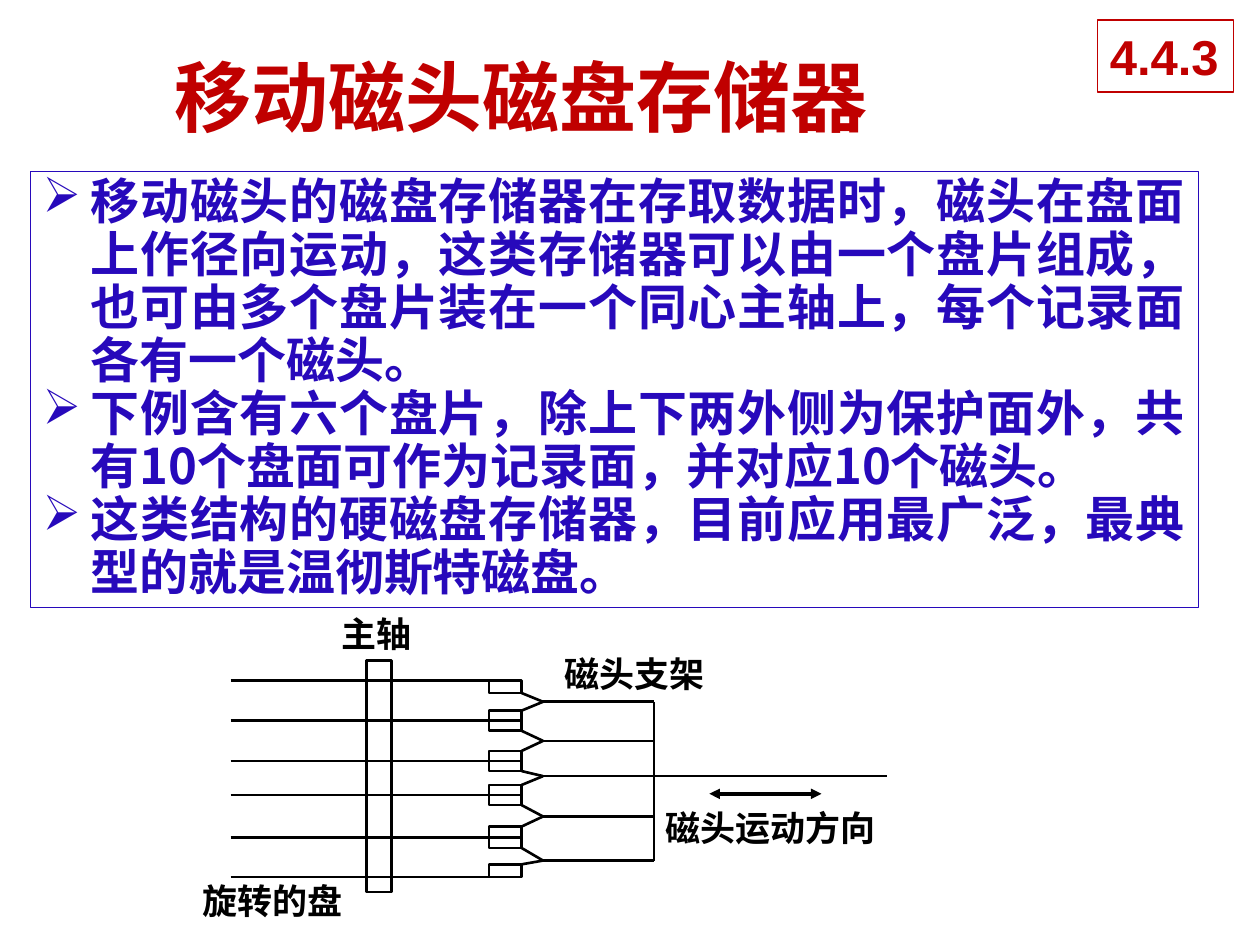
from lxml import etree
from pptx import Presentation
from pptx.dml.color import RGBColor
from pptx.enum.shapes import MSO_CONNECTOR, MSO_SHAPE
from pptx.enum.text import MSO_ANCHOR, MSO_AUTO_SIZE, PP_ALIGN
from pptx.oxml.ns import qn
from pptx.util import Inches, Pt

LINE, RECT = MSO_CONNECTOR.STRAIGHT, MSO_SHAPE.RECTANGLE
TOP, MID = MSO_ANCHOR.TOP, MSO_ANCHOR.MIDDLE
LEFT, CENTER, JUST = PP_ALIGN.LEFT, PP_ALIGN.CENTER, PP_ALIGN.JUSTIFY
GROW, FIXED = MSO_AUTO_SIZE.SHAPE_TO_FIT_TEXT, MSO_AUTO_SIZE.NONE
HAN, SANS, SERIF = "Noto Sans CJK SC", "Arial", "Times New Roman"
RED, BLUE, BLACK, WHITE = "C00000", "2709BB", "000000", "FFFFFF"

POINTS = [
    "移动磁头的磁盘存储器在存取数据时，磁头在盘面上作径向运动，这类存储器可以由一个盘片组成，"
    "也可由多个盘片装在一个同心主轴上，每个记录面各有一个磁头。",
    "下例含有六个盘片，除上下两外侧为保护面外，共有10个盘面可作为记录面，并对应10个磁头。",
    "这类结构的硬磁盘存储器，目前应用最广泛，最典型的就是温彻斯特磁盘。",
]


def color(code):
    return RGBColor.from_string(code)


def sub(node, tag, **attrs):
    return etree.SubElement(node, qn(tag), **attrs)


def add_rect(shapes, box, line, width, fill=None):
    rect = shapes.add_shape(RECT, *map(Inches, box))
    rect.shadow.inherit = False
    if fill:
        rect.fill.solid()
        rect.fill.fore_color.rgb = color(fill)
    else:
        rect.fill.background()
    rect.line.color.rgb = color(line)
    rect.line.width = Pt(width)
    return rect


def add_line(shapes, start, end, width=1.5, heads=False):
    line = shapes.add_connector(LINE, *map(Inches, start + end))
    line.line.color.rgb = color(BLACK)
    line.line.width = Pt(width)
    if heads:
        for tag in ("a:headEnd", "a:tailEnd"):
            sub(line.line._get_or_add_ln(), tag, type="triangle")
    sub(line._element.spPr, "a:effectLst")


def add_bullet(para, mark, tone, indent):
    props = para._p.get_or_add_pPr()
    props.set("marL", str(Inches(indent)))
    props.set("indent", str(-Inches(indent)))
    sub(sub(props, "a:buClr"), "a:srgbClr", val=tone)
    sub(props, "a:buChar", char=mark)


def set_text(shape, *lines, size=20, font=SANS, tone=BLACK, align=LEFT,
             anchor=TOP, inset=None, wrap=True, fit=FIXED, mark=None, space=None):
    frame = shape.text_frame
    frame.word_wrap, frame.auto_size = wrap, fit
    frame.vertical_anchor = anchor
    if inset is not None:
        frame.margin_left = frame.margin_right = Inches(inset)
        frame.margin_top = frame.margin_bottom = Inches(inset)
    for i, words in enumerate(lines):
        para = frame.paragraphs[0] if i == 0 else frame.add_paragraph()
        para.alignment = align
        if space:
            para.line_spacing = space
        if mark:
            add_bullet(para, mark, tone, 0.38)
        run = para.add_run()
        run.text = words
        run.font.size, run.font.bold = Pt(size), True
        run.font.color.rgb = color(tone)
        run.font.name = font
        sub(run._r.get_or_add_rPr(), "a:ea", typeface=HAN)


def add_title(slide, box):
    title = slide.shapes.add_textbox(*map(Inches, box))
    set_text(title, "移动磁头磁盘存储器", size=44, font=HAN, tone=RED,
             align=CENTER, anchor=MID)


def add_badge(slide, box):
    badge = add_rect(slide.shapes, box, RED, 0.75, WHITE)
    set_text(badge, "4.4.3", size=28, tone=RED, fit=GROW)


def add_body(slide, box):
    body = add_rect(slide.shapes, box, BLUE, 0.75, WHITE)
    set_text(body, *POINTS, size=28, font=HAN, tone=BLUE, align=JUST,
             mark="➢", space=0.9)


def add_drive(slide, box):
    """Disk drive on a grid of 553 columns by 246 rows."""
    left, top, width, height = box
    shapes = slide.shapes.add_group_shape().shapes

    def spot(col, row):
        return left + col * width / 553, top + row * height / 246

    def area(col, row, cols, rows):
        return (*spot(col, row), cols * width / 553, rows * height / 246)

    def link(start, end, **style):
        add_line(shapes, spot(*start), spot(*end), **style)

    disk, head, edge, tip, frame, end = 22, 227, 253, 270, 358, 543
    heads = [(54, 10), (78, 16), (110, 16), (137, 16), (170, 17), (200, 10)]
    arms = [71, 102, 130, 162, 197]

    # Disks and heads: the outer disks stop at the head
    last = len(heads) - 1
    for i, (row, rows) in enumerate(heads):
        level = {0: row, last: row + rows}.get(i, row + rows / 2)
        link((disk, level), (head if i in (0, last) else edge, level))
        add_rect(shapes, area(head, row, edge - head, rows), BLACK, 1.5)

    # Arms: each joins two neighbouring heads, the middle one leads out
    for i, arm in enumerate(arms):
        row, rows = heads[i]
        link((edge, row + rows), (tip, arm))
        link((edge, heads[i + 1][0]), (tip, arm))
        link((tip, arm), (end if i == len(arms) // 2 else frame, arm))
    link((frame, arms[0]), (frame, arms[-1]))

    # Spindle and direction of motion
    add_rect(shapes, area(130, 38, 20, 184), BLACK, 1.5)
    link((402, 144), (491, 144), width=2, heads=True)

    # Labels
    for words, place, font, wrap in [
        ("主轴", (110, 0, 56, 33), SANS, False),
        ("磁头运动方向", (367, 154, 186, 34), SANS, True),
        ("磁头支架", (287, 32, 123, 34), SANS, True),
        ("旋转的盘", (0, 212, 123, 34), SERIF, True),
    ]:
        label = shapes.add_textbox(*map(Inches, area(*place)))
        set_text(label, words, font=font, inset=0, wrap=wrap, fit=GROW)


def main():
    deck = Presentation()
    deck.slide_width, deck.slide_height = Inches(10), Inches(7.5)
    slide = deck.slides.add_slide(deck.slide_layouts[6])
    add_title(slide, (0.27, 0.34, 7.73, 0.84))
    add_body(slide, (0.24, 1.36, 9.27, 3.46))
    add_drive(slide, (1.61, 4.86, 5.53, 2.46))
    add_badge(slide, (8.71, 0.16, 1.08, 0.57))
    deck.save("out.pptx")


if __name__ == "__main__":
    main()
